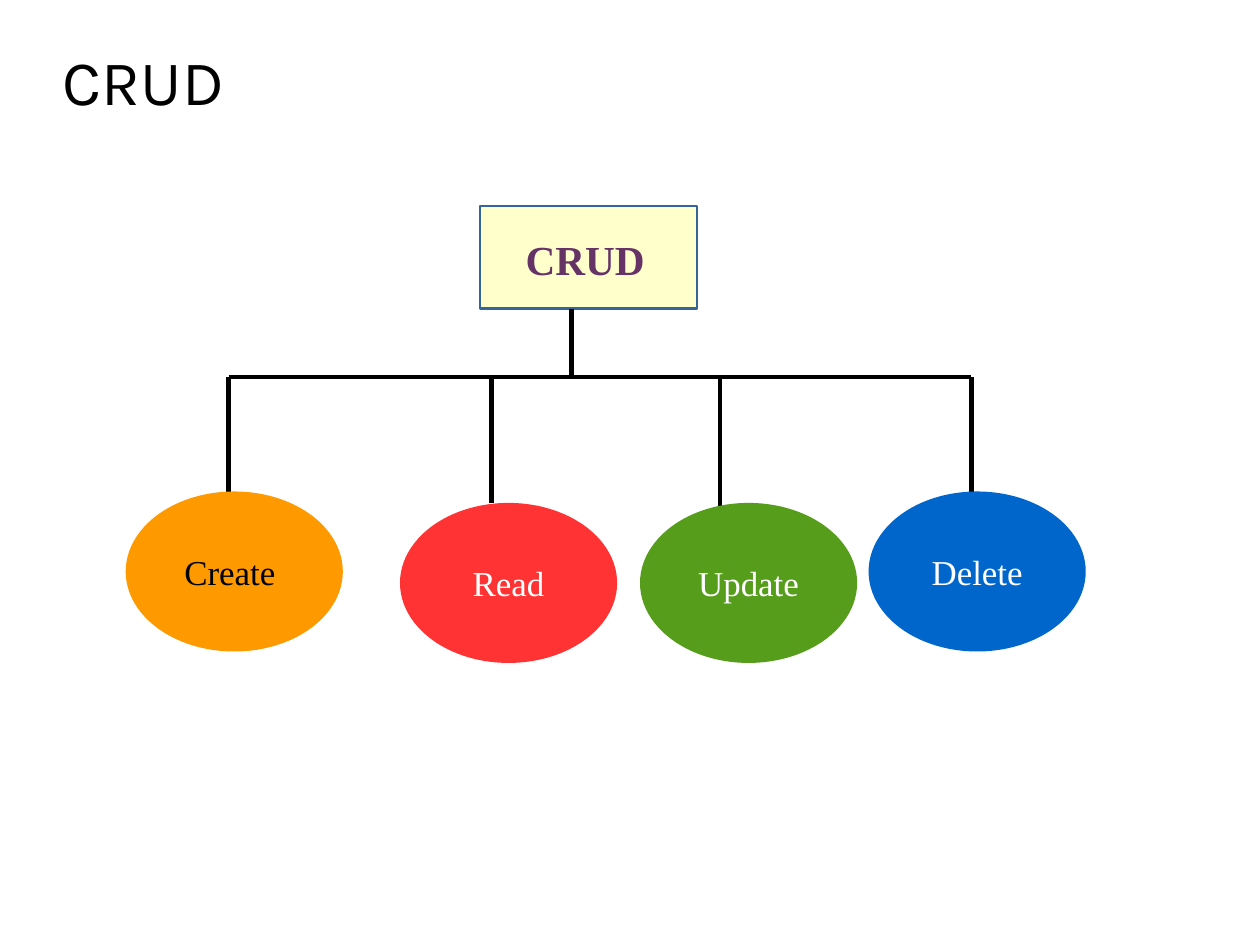
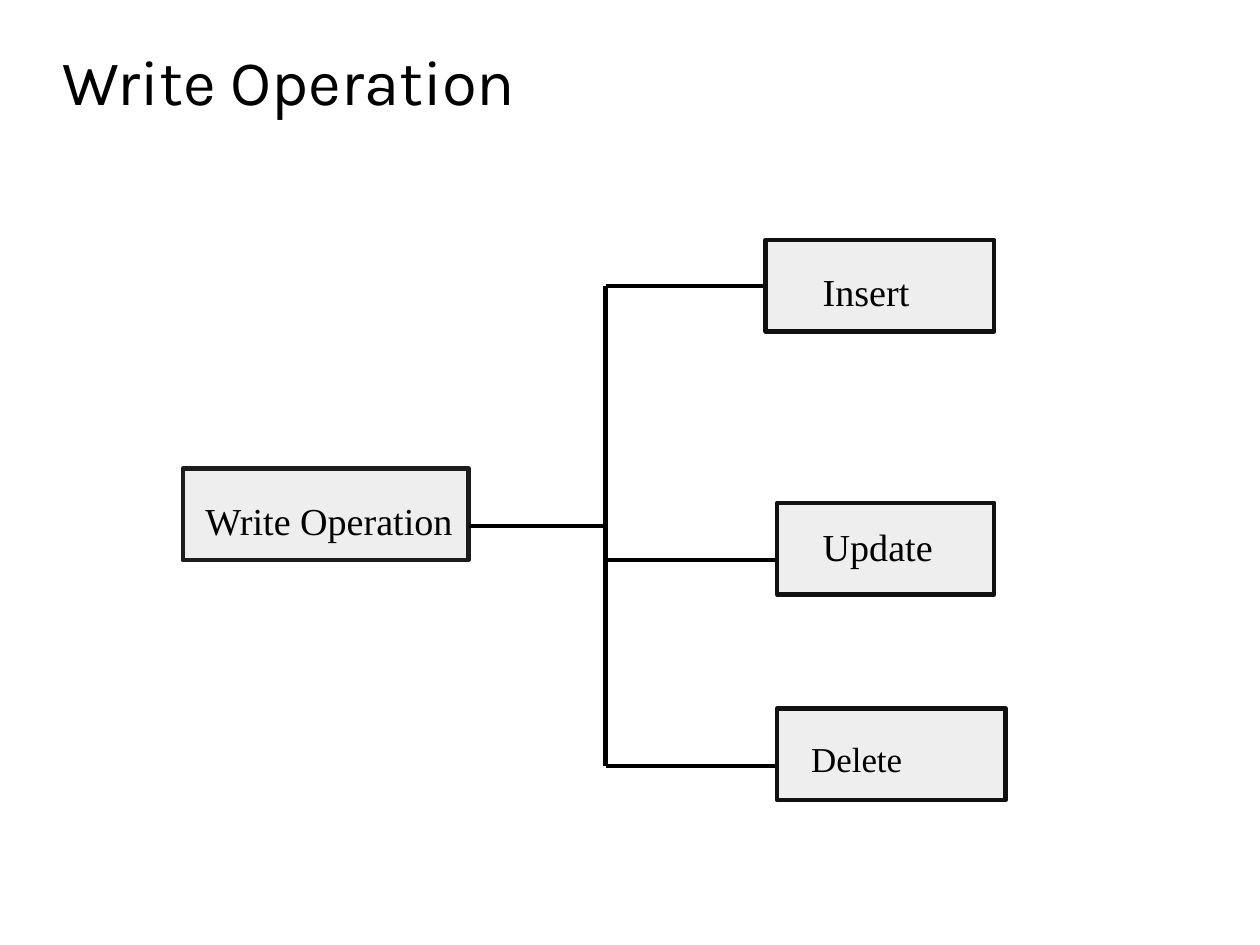
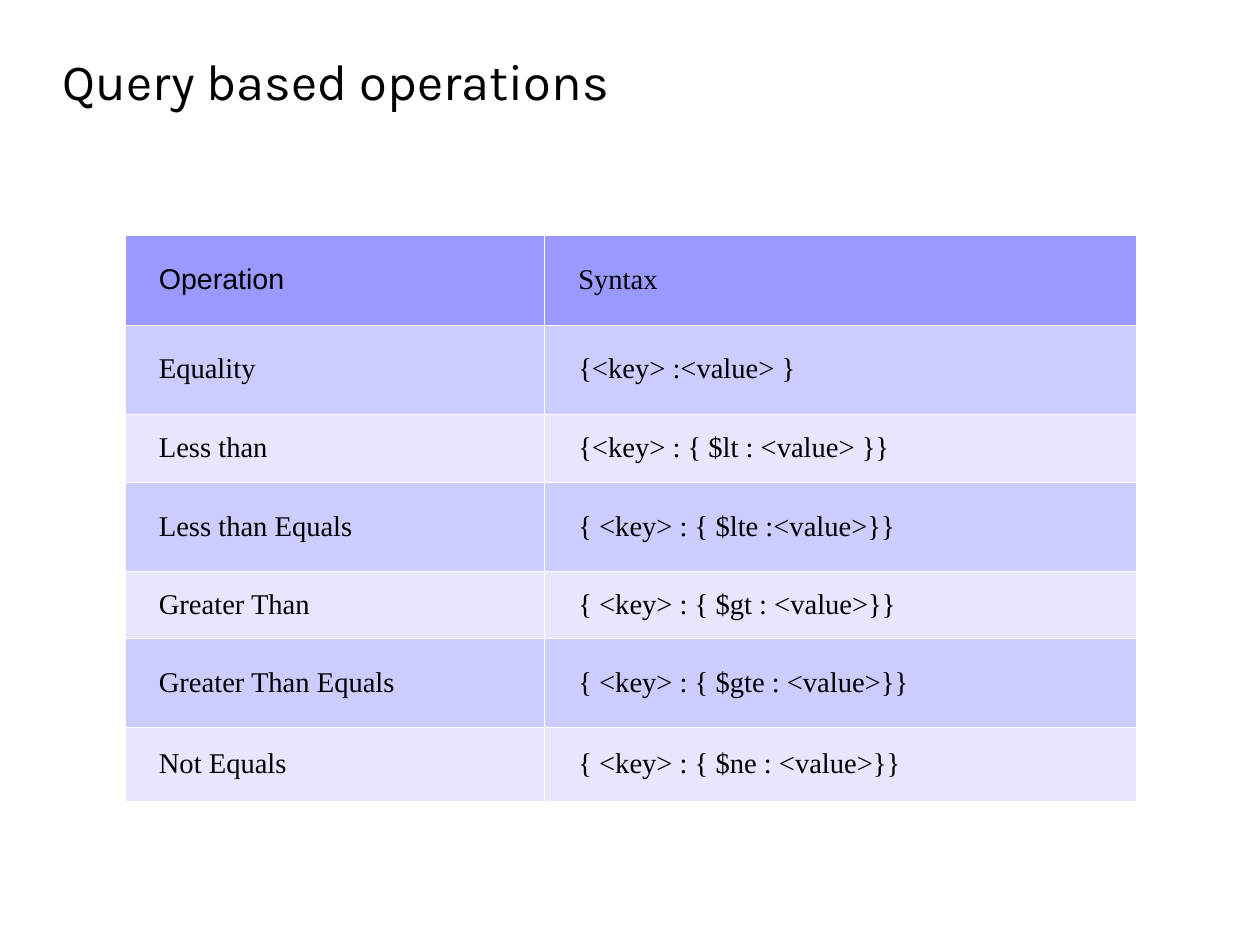
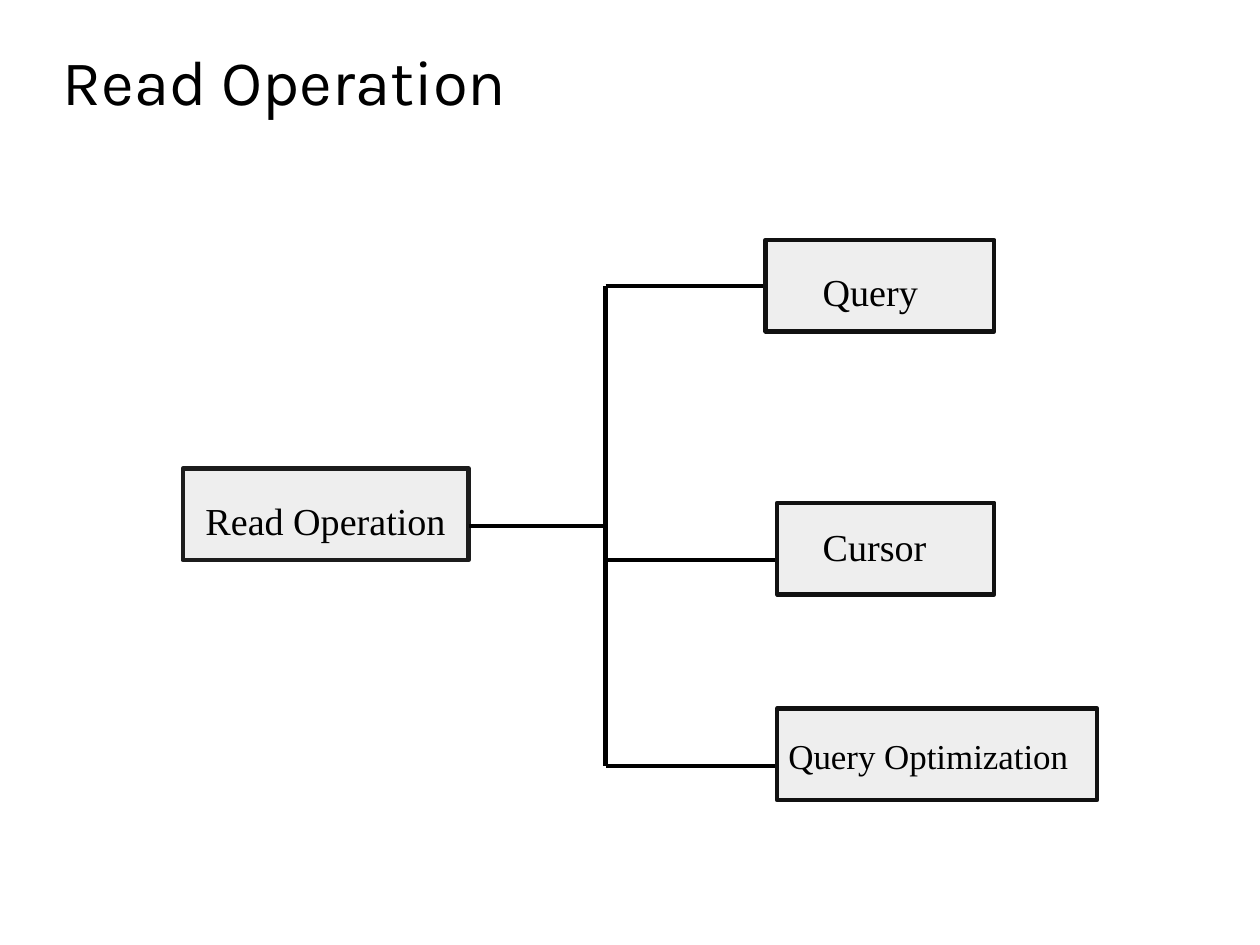
from lxml.etree import SubElement
from pptx import Presentation
from pptx.dml.color import RGBColor
from pptx.enum.shapes import MSO_CONNECTOR, MSO_SHAPE
from pptx.enum.text import MSO_ANCHOR, MSO_AUTO_SIZE, PP_ALIGN
from pptx.oxml.ns import qn
from pptx.util import Emu, Pt

SCALE = 9144
PAGE_SIZE = (Emu(10080625), Emu(7559675))
TITLE_PLACE = (55, 1, 992, 138)

BLACK = RGBColor(0x00, 0x00, 0x00)
WHITE = RGBColor(0xFF, 0xFF, 0xFF)
CREAM = RGBColor(0xFF, 0xFF, 0xCC)
STEEL = RGBColor(0x33, 0x66, 0x99)
PLUM = RGBColor(0x66, 0x33, 0x66)
ORANGE = RGBColor(0xFF, 0x99, 0x00)
RED = RGBColor(0xFF, 0x33, 0x33)
GREEN = RGBColor(0x57, 0x9D, 0x1C)
BLUE = RGBColor(0x00, 0x66, 0xCC)
GREY = RGBColor(0xEE, 0xEE, 0xEE)
CHARCOAL = RGBColor(0x1C, 0x1C, 0x1C)
INK = RGBColor(0x11, 0x11, 0x11)
HEADER_FILL = RGBColor(0x99, 0x99, 0xFF)
BAND_FILLS = (RGBColor(0xCC, 0xCC, 0xFF), RGBColor(0xE6, 0xE6, 0xFF))

TITLE_FONT = "Karla"
BODY_FONT = "Times New Roman"
HEADER_FONT = "Arial"
THICK = 2.83
HAIRLINE = 0.06

COLUMN_WIDTHS = (367, 518)
ROW_HEIGHTS = (78, 78, 60, 78, 58, 78, 65)
OPERATIONS = (
    ("Operation", "Syntax"),
    ("Equality", "{<key> :<value> }"),
    ("Less than", "{<key> : { $lt : <value> }}"),
    ("Less than Equals", "{ <key> : { $lte :<value>}}"),
    ("Greater Than", "{ <key> : { $gt : <value>}}"),
    ("Greater Than Equals", "{ <key> : { $gte : <value>}}"),
    ("Not Equals", "{ <key> : { $ne : <value>}}"),
)


def px(*lengths):
    return [length * SCALE for length in lengths]


def apply(target, values):
    for name, value in values.items():
        setattr(target, name, value)


def write(frame, text, size, color=BLACK, font=BODY_FONT, bold=False, align=PP_ALIGN.LEFT):
    para = frame.paragraphs[0]
    para.alignment = align
    span = para.add_run()
    span.text = text
    apply(span.font, {"size": Pt(size), "name": font, "bold": bold})
    span.font.color.rgb = color


def add_page(deck, title, size=40):
    page = deck.slides.add_slide(deck.slide_layouts[5])
    heading = page.shapes.title
    apply(heading, dict(zip(("left", "top", "width", "height"), px(*TITLE_PLACE))))
    frame = heading.text_frame
    apply(frame, {
        "margin_left": 0, "margin_top": 0, "margin_right": 0, "margin_bottom": 0,
        "vertical_anchor": MSO_ANCHOR.MIDDLE, "word_wrap": True,
        "auto_size": MSO_AUTO_SIZE.NONE,
    })
    write(frame, title, size, font=TITLE_FONT)
    return page


def add_shape(page, kind, place, fill, outline=None, weight=THICK):
    shape = page.shapes.add_shape(kind, *px(*place))
    shape.shadow.inherit = False
    shape.fill.solid()
    shape.fill.fore_color.rgb = fill
    if outline is None:
        shape.line.fill.background()
    else:
        shape.line.color.rgb = outline
        shape.line.width = Pt(weight)
    return shape


def add_line(page, *ends):
    line = page.shapes.add_connector(MSO_CONNECTOR.STRAIGHT, *px(*ends))
    line.line.color.rgb = BLACK
    line.line.width = Pt(THICK)
    SubElement(line.element.spPr, qn("a:effectLst"))


def add_label(page, place, text, size, color=BLACK, bold=False):
    frame = page.shapes.add_textbox(*px(*place)).text_frame
    apply(frame, {"word_wrap": True, "auto_size": MSO_AUTO_SIZE.SHAPE_TO_FIT_TEXT})
    write(frame, text, size, color, bold=bold)


def add_ellipse(page, left, top, text, fill, color):
    ellipse = add_shape(page, MSO_SHAPE.OVAL, (left, top, 190, 140), fill)
    frame = ellipse.text_frame
    apply(frame, {"word_wrap": False, "vertical_anchor": MSO_ANCHOR.MIDDLE})
    write(frame, text, 22, color, align=PP_ALIGN.CENTER)


def add_borders(cell):
    properties = cell._tc.get_or_add_tcPr()
    for side in ("a:lnL", "a:lnR", "a:lnT", "a:lnB"):
        border = SubElement(properties, qn(side), w=str(int(Pt(HAIRLINE))))
        fill = SubElement(border, qn("a:solidFill"))
        SubElement(fill, qn("a:srgbClr"), val=str(WHITE))


def build_crud(deck):
    page = add_page(deck, "CRUD")
    add_shape(page, MSO_SHAPE.RECTANGLE, (420, 180, 190, 90), CREAM, STEEL, 1.42)
    add_label(page, (450, 200, 170, 50), "CRUD", 26, PLUM, bold=True)
    bus = 330
    add_line(page, 500, 270, 500, bus)
    add_line(page, 200, bus, 850, bus)
    for x, bottom in ((200, 440), (430, 440), (630, 450), (850, 440)):
        add_line(page, x, bus, x, bottom)
    for ellipse in (
        (110, 430, "Create ", ORANGE, BLACK),
        (350, 440, "Read", RED, WHITE),
        (560, 440, "Update", GREEN, WHITE),
        (760, 430, "Delete", BLUE, WHITE),
    ):
        add_ellipse(page, *ellipse)


def build_tree(deck, root, branches):
    page = add_page(deck, root)
    add_shape(page, MSO_SHAPE.RECTANGLE, (160, 410, 250, 80), GREY, CHARCOAL)
    trunk, levels = 530, (250, 490, 670)
    add_line(page, 410, 460, trunk, 460)
    add_line(page, trunk, levels[0], trunk, levels[-1])
    for level in levels:
        add_line(page, trunk, level, 680, level)
    for box, label, text, size in branches:
        add_shape(page, MSO_SHAPE.RECTANGLE, box, GREY, INK)
        add_label(page, label, text, size)
    add_label(page, (170, 430, 270, 54), root, 24)


def tree_branches(first, second, third, third_width, third_label):
    return (
        ((670, 210, 200, 80), (710, 230, 170, 47), first, 24),
        ((680, 440, 190, 80), (710, 453, 180, 47), second, 24),
        ((680, 620, third_width, 80), third_label, third, 22),
    )


def build_queries(deck):
    page = add_page(deck, "Query based operations", 32)
    place = px(109, 206, sum(COLUMN_WIDTHS), sum(ROW_HEIGHTS))
    table = page.shapes.add_table(len(OPERATIONS), len(COLUMN_WIDTHS), *place).table
    for column, width in zip(table.columns, px(*COLUMN_WIDTHS)):
        column.width = width
    for row, height in zip(table.rows, px(*ROW_HEIGHTS)):
        row.height = height
    for r, texts in enumerate(OPERATIONS):
        for c, text in enumerate(texts):
            cell = table.cell(r, c)
            add_borders(cell)
            cell.fill.solid()
            cell.fill.fore_color.rgb = BAND_FILLS[(r - 1) % 2] if r else HEADER_FILL
            apply(cell, {"vertical_anchor": MSO_ANCHOR.MIDDLE, "margin_left": 30 * SCALE})
            font = HEADER_FONT if r == c == 0 else BODY_FONT
            write(cell.text_frame, text, 18, font=font)


def main():
    deck = Presentation()
    deck.slide_width, deck.slide_height = PAGE_SIZE
    build_crud(deck)
    build_tree(deck, "Write Operation",
               tree_branches("Insert", "Update", "Delete", 200, (700, 640, 210, 44)))
    build_queries(deck)
    build_tree(deck, "Read Operation",
               tree_branches("Query", "Cursor", "Query Optimization", 280, (680, 638, 267, 62)))
    deck.save("out.pptx")


if __name__ == "__main__":
    main()
